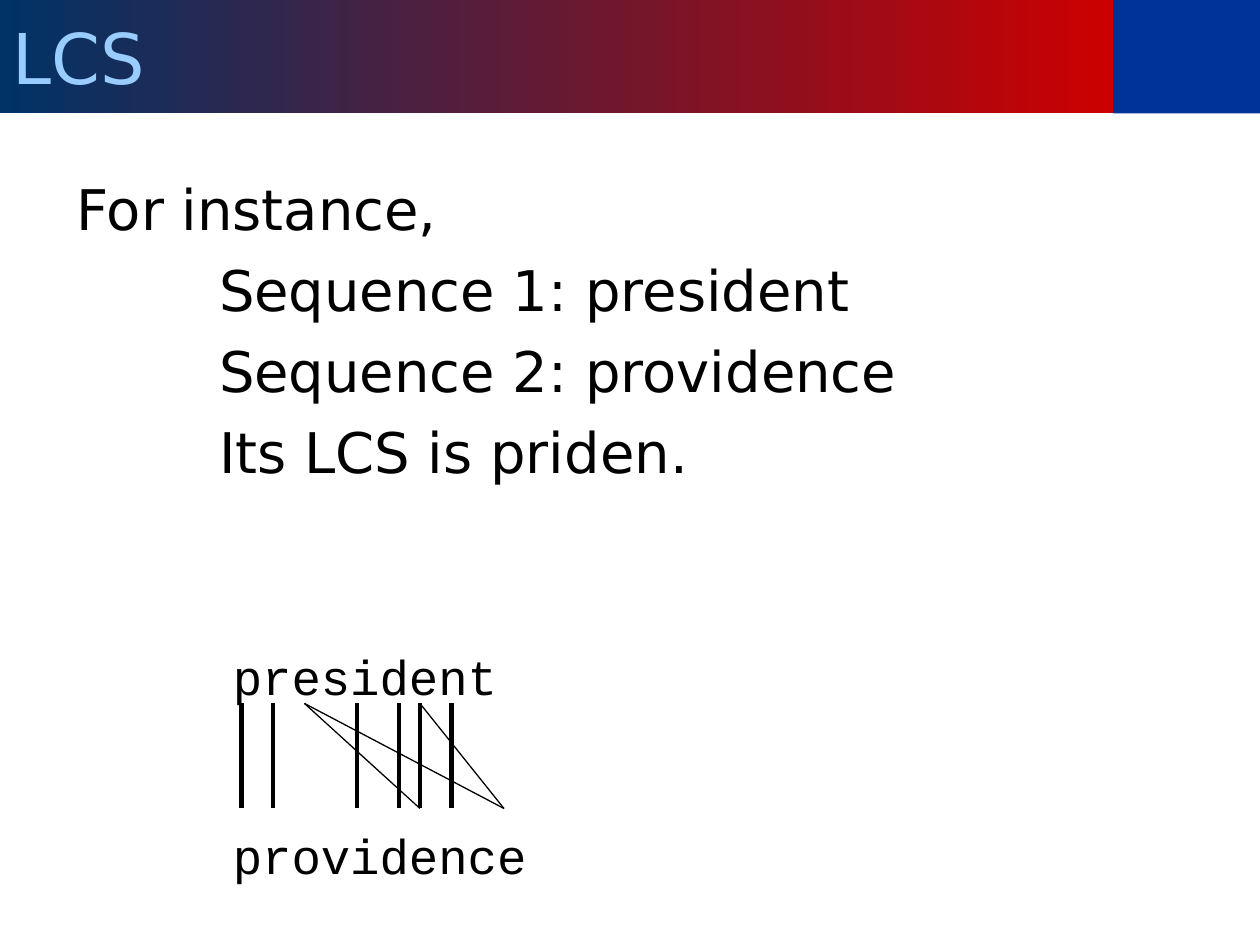
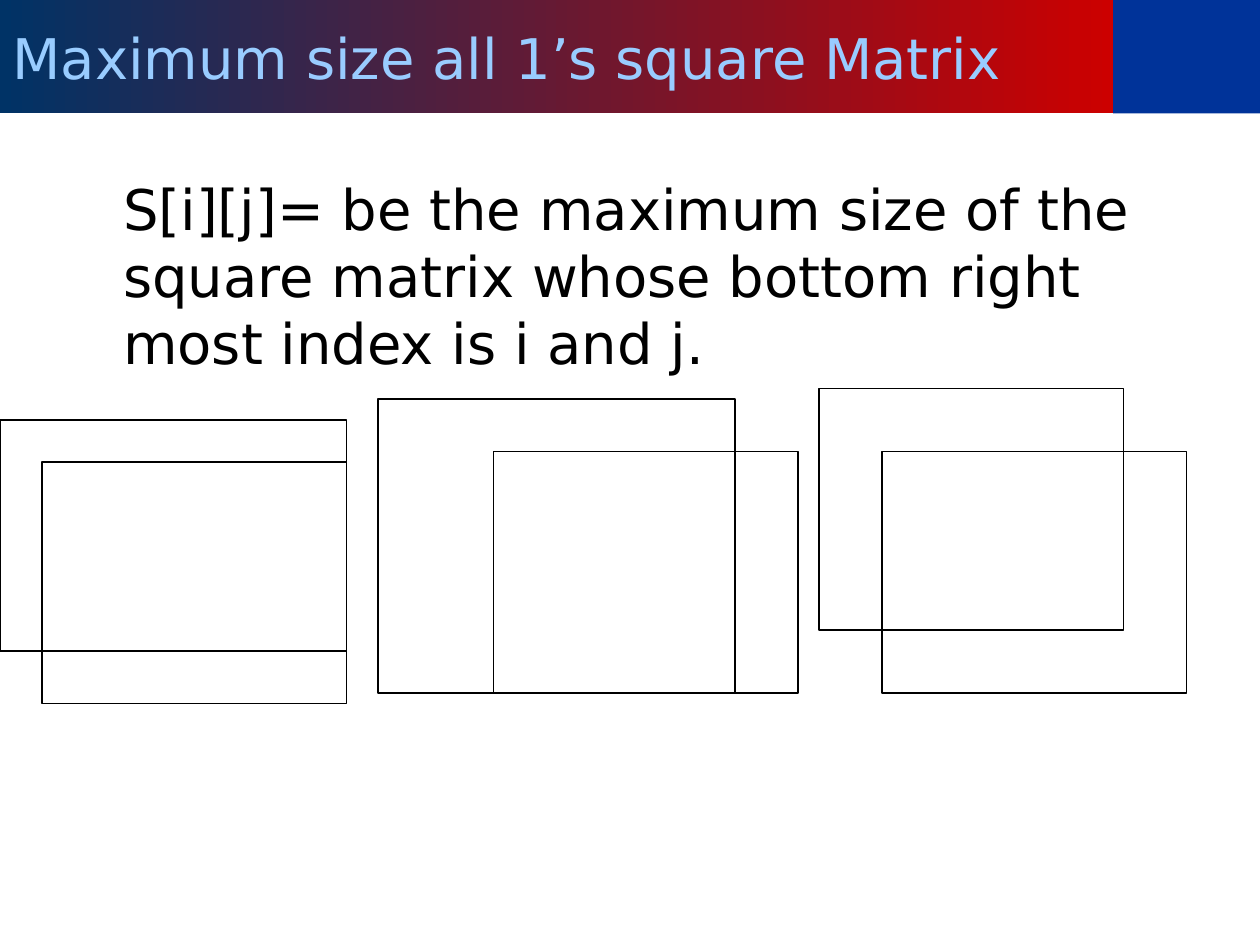
from dataclasses import dataclass

from lxml.etree import SubElement
from pptx import Presentation
from pptx.dml.color import RGBColor
from pptx.enum.shapes import MSO_CONNECTOR, MSO_SHAPE
from pptx.enum.text import MSO_ANCHOR, PP_ALIGN
from pptx.oxml.ns import qn
from pptx.util import Emu, Inches, Pt

# Grid: 120 columns by 90 rows on a 10 by 7.5 inch slide
WIDTH, HEIGHT = Inches(10), Inches(7.5)
COLUMNS, ROWS = 120, 90

COLORS = {
    "block": "003399",
    "band_start": "003366",
    "band_end": "CC0000",
    "title": "99CCFF",
    "ink": "000000",
}
SANS, MONO = "DejaVu Sans", "Courier New"
HEADER_ROWS = 10.8
BAND_COLUMNS = 106
HAIRLINE, BOLD_LINE = 0.75, 2.5


@dataclass(frozen=True)
class Area:
    column: float
    row: float
    columns: float
    rows: float

    def lengths(self) -> tuple:
        return (across(self.column), down(self.row),
                across(self.columns), down(self.rows))


@dataclass(frozen=True)
class TextLine:
    text: str
    margin: float = 0
    first_indent: float = 0
    space_before: float = 0


@dataclass(frozen=True)
class Match:
    top_column: int
    bottom_column: int

    @property
    def weight(self) -> float:
        return BOLD_LINE if self.top_column == self.bottom_column else HAIRLINE


BODY = Area(6, 16, 108, 64.4)


def across(columns: float) -> Emu:
    return Emu(round(WIDTH * columns / COLUMNS))


def down(rows: float) -> Emu:
    return Emu(round(HEIGHT * rows / ROWS))


def color(name: str) -> RGBColor:
    return RGBColor.from_string(COLORS[name])


def write_lines(frame, lines: list, size: float, font: str, ink: str = "ink") -> None:
    frame.word_wrap = True
    for index, line in enumerate(lines):
        para = frame.paragraphs[0] if index == 0 else frame.add_paragraph()
        para.alignment = PP_ALIGN.LEFT
        para.space_before = Pt(line.space_before)
        properties = para._p.get_or_add_pPr()
        properties.set("marL", str(Inches(line.margin)))
        properties.set("indent", str(Inches(line.first_indent)))
        span = para.add_run()
        span.text = line.text
        span.font.size = Pt(size)
        span.font.name = font
        span.font.color.rgb = color(ink)


def add_text(page, area: Area, lines: list, size: float, font: str) -> None:
    box = page.shapes.add_textbox(*area.lengths())
    write_lines(box.text_frame, lines, size, font)


def add_rectangle(page, area: Area):
    shape = page.shapes.add_shape(MSO_SHAPE.RECTANGLE, *area.lengths())
    shape.shadow.inherit = False
    return shape


def add_outline(page, area: Area) -> None:
    shape = add_rectangle(page, area)
    shape.fill.background()
    shape.line.color.rgb = color("ink")
    shape.line.width = Pt(HAIRLINE)


def add_match(page, match: Match, top: float, bottom: float) -> None:
    line = page.shapes.add_connector(
        MSO_CONNECTOR.STRAIGHT,
        across(match.top_column), down(top),
        across(match.bottom_column), down(bottom))
    line.line.color.rgb = color("ink")
    line.line.width = Pt(match.weight)
    SubElement(line._element.spPr, qn("a:effectLst"))


def add_page(deck, title: str, title_size: float):
    page = deck.slides.add_slide(deck.slide_layouts[6])

    # Corner block
    block = add_rectangle(
        page, Area(BAND_COLUMNS, 0, COLUMNS - BAND_COLUMNS, HEADER_ROWS))
    block.fill.solid()
    block.fill.fore_color.rgb = color("block")
    block.line.fill.background()

    # Title band, shaded from right to left
    band = add_rectangle(page, Area(0, 0, BAND_COLUMNS, HEADER_ROWS))
    band.fill.gradient()
    band.fill.gradient_angle = 180
    for stop, position, name in zip(
            band.fill.gradient_stops, (0, 1), ("band_end", "band_start")):
        stop.position = position
        stop.color.rgb = color(name)
    band.line.fill.background()
    band.text_frame.vertical_anchor = MSO_ANCHOR.MIDDLE
    write_lines(band.text_frame, [TextLine(title)], title_size, SANS, "title")
    return page


def build_lcs(deck) -> None:
    page = add_page(deck, "LCS", 40)
    examples = ("Sequence 1: president", "Sequence 2: providence",
                "Its LCS is priden.")
    lines = [TextLine("For instance,", 0.38, -0.37, 8)]
    lines += [TextLine(text, 1.14, 0, 8) for text in examples]
    add_text(page, BODY, lines, 32, SANS)

    # The two words
    for word, row in (("president", 61), ("providence", 78)):
        add_text(page, Area(21, row, 47, 6), [TextLine(word)], 28, MONO)

    # Matching letters: upright lines form the common subsequence
    shared = [Match(column, column) for column in (23, 26, 34, 38, 40, 43)]
    crossing = [Match(29, 40), Match(29, 48), Match(40, 48)]
    for match in shared + crossing:
        add_match(page, match, 67, 77)


def build_square_matrix(deck) -> None:
    page = add_page(deck, "Maximum size all 1’s square Matrix", 32)
    definition = ("S[i][j]= be the maximum size of the square matrix "
                  "whose bottom right most index is i and j.")
    add_text(page, BODY, [TextLine(definition, 0.38, 0, 8)], 32, SANS)

    # Overlapping squares: equal ones first, then the two larger ones
    equal_corners = ((47, 43), (84, 43), (4, 44), (78, 37))
    squares = [Area(column, row, 29, 23) for column, row in equal_corners]
    squares += [Area(0, 40, 33, 22), Area(36, 38, 34, 28)]
    for square in squares:
        add_outline(page, square)


def main() -> None:
    deck = Presentation()
    deck.slide_width, deck.slide_height = WIDTH, HEIGHT
    build_lcs(deck)
    build_square_matrix(deck)
    deck.save("out.pptx")


if __name__ == "__main__":
    main()
